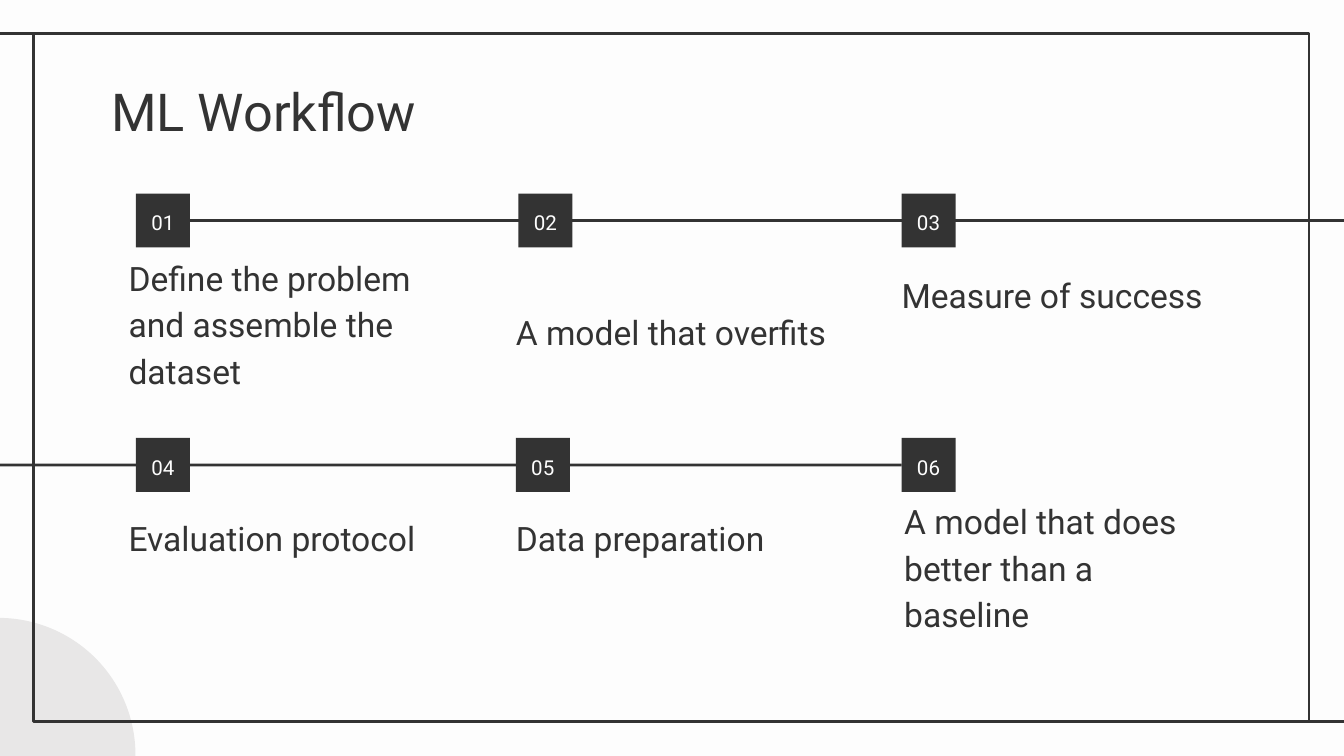
"""Build the ML Workflow slide: six numbered steps on two lines."""
import pptx
import pptx.util
import pptx.dml.color
import pptx.enum.shapes
import pptx.enum.text
import pptx.oxml.ns
import lxml.etree

Cm = pptx.util.Cm
Pt = pptx.util.Pt
KIND = pptx.enum.shapes.MSO_SHAPE
ALIGN = pptx.enum.text.PP_ALIGN
ANCHOR = pptx.enum.text.MSO_ANCHOR

TITLE = "ML Workflow"
STEPS = [
    {"text": "Define the problem and assemble the dataset", "top": 4.67, "high": 2.97},
    {"text": "A model that overfits", "top": 4.67, "high": 2.24, "nudge": 0.05},
    {"text": "Measure of success", "top": 5.13, "high": 1.07},
    {"text": "Evaluation protocol", "top": 9.73, "high": 1.07},
    {"text": "Data preparation", "top": 9.73, "high": 1.07},
    {"text": "A model that does better than a baseline", "top": 9.32, "high": 2.92, "shift": 0.05},
]
COLORS = {"ink": "333333", "page": "FDFDFD", "disc": "E8E7E7"}
FONT = "Roboto"
WIDE, HIGH = 25.4, 14.29
EDGE, RIGHT, FOOT = 0.64, 24.74, 13.64
SIDE = 1.02
COLS = [2.57, 9.75, 17.04]
ROWS = [3.66, 8.28]
LEFTS = [2.18, 9.5, 16.79]


def color(name):
    return pptx.dml.color.RGBColor.from_string(COLORS[name])


def add_box(slide, kind, place, fill=None, line=None):
    box = slide.shapes.add_shape(kind, *map(Cm, place))
    box.shadow.inherit = False
    if fill:
        box.fill.solid()
        box.fill.fore_color.rgb = color(fill)
    else:
        box.fill.background()
    if line:
        box.line.color.rgb = color(line)
        box.line.width = Pt(1.5)
    else:
        box.line.fill.background()
    return box


def add_line(slide, start, end):
    line = slide.shapes.add_connector(
        pptx.enum.shapes.MSO_CONNECTOR.STRAIGHT, *map(Cm, start + end))
    line.line.color.rgb = color("ink")
    line.line.width = Pt(1.5)
    lxml.etree.SubElement(line._element.spPr, pptx.oxml.ns.qn("a:effectLst"))
    return line


def write(box, text, size, tint="ink", anchor=ANCHOR.TOP, align=ALIGN.LEFT, space=1.15):
    frame = box.text_frame
    frame.word_wrap = True
    frame.vertical_anchor = anchor
    frame.margin_left = frame.margin_right = Cm(0.25)
    frame.margin_top = frame.margin_bottom = Cm(0.25)
    par = frame.paragraphs[0]
    par.alignment = align
    par.line_spacing = space
    run = par.add_run()
    run.text = text
    run.font.name = FONT
    run.font.size = Pt(size)
    run.font.color.rgb = color(tint)


def add_text(slide, place, text, size, **style):
    write(slide.shapes.add_textbox(*map(Cm, place)), text, size, **style)


def main():
    deck = pptx.Presentation()
    deck.slide_width, deck.slide_height = Cm(WIDE), Cm(HIGH)
    slide = deck.slides.add_slide(deck.slide_layouts[6])
    slide.background.fill.solid()
    slide.background.fill.fore_color.rgb = color("page")

    add_box(slide, KIND.OVAL, (-2.62, 11.68, 5.18, 5.18), fill="disc")
    add_box(slide, KIND.RECTANGLE, (EDGE, EDGE, RIGHT - EDGE, FOOT - EDGE), line="ink")
    add_line(slide, (EDGE, EDGE), (-0.05, EDGE))
    add_line(slide, (25.48, FOOT), (RIGHT, FOOT))

    mids = [top + SIDE / 2 for top in ROWS]
    upper = add_line(slide, (COLS[0] + SIDE, mids[0]), (25.83, mids[0]))
    lower = add_line(slide, (COLS[-1], mids[1]), (-0.46, mids[1]))

    add_text(slide, (1.85, 1.24, 21.41, 1.6), TITLE, 28, space=1)
    tiles = []
    for num, step in enumerate(STEPS):
        row, col = divmod(num, len(COLS))
        left = COLS[col] + step.get("nudge", 0)
        tile = add_box(slide, KIND.RECTANGLE, (left, ROWS[row], SIDE, SIDE), fill="ink")
        write(tile, f"{num + 1:02}", 11, "page", ANCHOR.MIDDLE, ALIGN.CENTER)
        tiles.append(tile)
        place = (LEFTS[col] + step.get("shift", 0), step["top"], 6.4, step["high"])
        add_text(slide, place, step["text"], 18, anchor=ANCHOR.BOTTOM)

    upper.begin_connect(tiles[0], 3)
    lower.begin_connect(tiles[-1], 1)
    deck.save("out.pptx")


if __name__ == "__main__":
    main()
